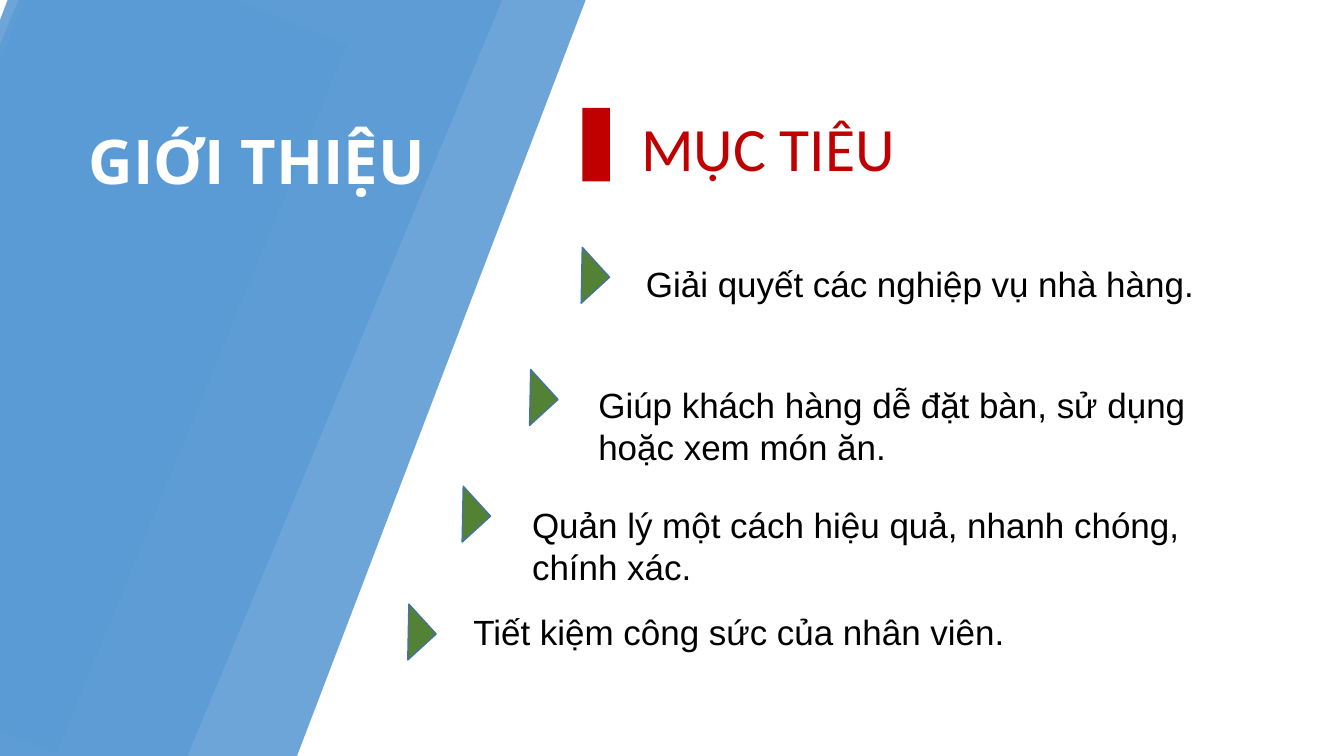
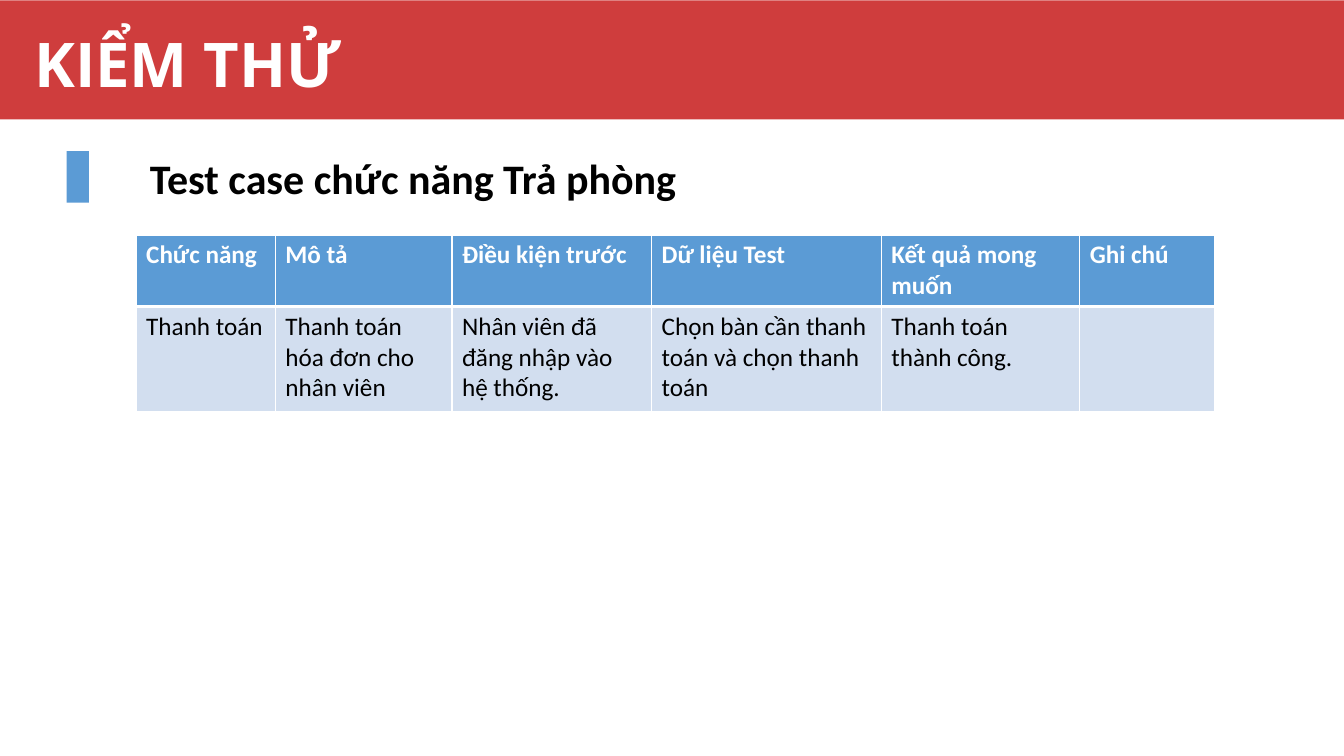
import dataclasses

import lxml.etree
import pptx
import pptx.dml.color
import pptx.enum.shapes
import pptx.enum.text
import pptx.oxml.ns
import pptx.shapes.autoshape
import pptx.slide
import pptx.table
import pptx.util

Cm = pptx.util.Cm
Pt = pptx.util.Pt
RGBColor = pptx.dml.color.RGBColor
Preset = pptx.enum.shapes.MSO_SHAPE
Align = pptx.enum.text.PP_ALIGN
qn = pptx.oxml.ns.qn

WHITE = RGBColor(0xFF, 0xFF, 0xFF)
BLACK = RGBColor(0x00, 0x00, 0x00)
BLUE = RGBColor(0x5B, 0x9B, 0xD5)
DARK_BLUE = RGBColor(0x43, 0x73, 0x9E)
PALE_BLUE = RGBColor(0xD2, 0xDE, 0xEF)
RED = RGBColor(0xC0, 0x00, 0x00)
GREEN = RGBColor(0x54, 0x82, 0x35)

SLIDE_WIDTH, SLIDE_HEIGHT = 33.87, 19.05


@dataclasses.dataclass(frozen=True)
class Box:
    """A frame in centimetres, turned by some degrees."""

    left: float
    top: float
    width: float
    height: float
    turn: float = 0


@dataclasses.dataclass(frozen=True)
class Style:
    """The look of a text."""

    font: str
    size: float
    color: RGBColor
    bold: bool = False


@dataclasses.dataclass(frozen=True)
class Panel:
    """A translucent slanted panel."""

    box: Box
    opacity: int


@dataclasses.dataclass(frozen=True)
class Goal:
    """A goal with the corner of its arrow and the frame of its text."""

    text: str
    arrow_left: float
    arrow_top: float
    box: Box


@dataclasses.dataclass(frozen=True)
class Column:
    """A column of the test case table."""

    header: str
    value: str
    width: float


TITLE = Style("Open Sans", 44, WHITE, True)
GOALS_HEADING = Style("Calibri", 44, RED)
TEST_HEADING = Style("Calibri", 30, BLACK, True)
GOAL_TEXT = Style("Arial", 25, BLACK)
TABLE_HEADER = Style("Calibri", 18, WHITE, True)
TABLE_BODY = Style("Calibri", 18, BLACK)

PANELS = [
    Panel(Box(-2.57, -1.09, 7.95, 19.3, 22.3), 88),
    Panel(Box(-2.54, -3.1, 11.25, 22.91, 22.6), 82),
    Panel(Box(-2.64, -3.33, 13.61, 24, 20.9), 89),
]
GOALS = [
    Goal("Giải quyết các nghiệp vụ nhà hàng.",
         14.15, 6.45, Box(16.03, 6.5, 15.29, 1.32)),
    Goal("Giúp khách hàng dễ đặt bàn, sử dụng hoặc xem món ăn.",
         12.85, 9.53, Box(14.83, 9.55, 17.4, 2.39)),
    Goal("Quản lý một cách hiệu quả, nhanh chóng, chính xác.",
         11.15, 12.47, Box(13.16, 12.57, 17.7, 2.39)),
    Goal("Tiết kiệm công sức của nhân viên.",
         9.78, 15.44, Box(11.68, 15.27, 20.96, 1.32)),
]
COLUMNS = [
    Column("Chức năng", "Thanh toán", 3.51),
    Column("Mô tả", "Thanh toán hóa đơn cho nhân viên", 4.45),
    Column("Điều kiện trước", "Nhân viên đã đăng nhập vào hệ thống.", 5.03),
    Column("Dữ liệu Test", "Chọn bàn cần thanh toán và chọn thanh toán", 5.79),
    Column("Kết quả mong muốn", "Thanh toán thành công.", 5),
    Column("Ghi chú", "", 3.4),
]
HEADER_HEIGHT, BODY_HEIGHT = 1.8, 2.64


def frame(box: Box) -> tuple[int, int, int, int]:
    """Return left, top, width and height as lengths."""
    return Cm(box.left), Cm(box.top), Cm(box.width), Cm(box.height)


def add_figure(slide: pptx.slide.Slide, preset: Preset, box: Box, color: RGBColor,
               opacity: int = 100) -> pptx.shapes.autoshape.Shape:
    """Draw a filled preset shape without outline."""
    figure = slide.shapes.add_shape(preset, *frame(box))
    figure.rotation = box.turn
    figure.shadow.inherit = False
    figure.fill.solid()
    figure.fill.fore_color.rgb = color
    figure.line.fill.background()
    if opacity < 100:
        tint = figure.fill._xPr.find(f"{qn('a:solidFill')}/{qn('a:srgbClr')}")
        lxml.etree.SubElement(tint, qn("a:alpha"), val=str(opacity * 1000))
    return figure


def write(frame_of_text: pptx.text.text.TextFrame, text: str, style: Style) -> None:
    """Put one styled paragraph into a text frame."""
    paragraph = frame_of_text.paragraphs[0]
    paragraph.text = text
    paragraph.font.name = style.font
    paragraph.font.size = Pt(style.size)
    paragraph.font.bold = style.bold
    paragraph.font.color.rgb = style.color


def add_heading(slide: pptx.slide.Slide, text: str, box: Box, style: Style) -> None:
    """Write a centred heading."""
    heading = slide.shapes.add_textbox(*frame(box)).text_frame
    heading.word_wrap = True
    heading.vertical_anchor = pptx.enum.text.MSO_ANCHOR.MIDDLE
    write(heading, text, style)
    heading.paragraphs[0].alignment = Align.CENTER


def add_goal(slide: pptx.slide.Slide, goal: Goal) -> None:
    """Draw the arrow of a goal and write its text."""
    arrow = add_figure(slide, Preset.RIGHT_TRIANGLE,
                       Box(goal.arrow_left, goal.arrow_top, 1.02, 0.97, 227.6), GREEN)
    arrow.line.color.rgb = DARK_BLUE
    arrow.line.width = Pt(1)
    wording = slide.shapes.add_textbox(*frame(goal.box)).text_frame
    wording.word_wrap = True
    wording.auto_size = pptx.enum.text.MSO_AUTO_SIZE.SHAPE_TO_FIT_TEXT
    write(wording, goal.text, GOAL_TEXT)


def add_borders(cell: pptx.table._Cell, top: float, bottom: float) -> None:
    """Give a cell white borders, 1 point wide at the sides."""
    properties = cell._tc.get_or_add_tcPr()
    for side, width in (("L", 1), ("R", 1), ("T", top), ("B", bottom)):
        edge = lxml.etree.SubElement(properties, qn(f"a:ln{side}"), w=str(Pt(width)))
        paint = lxml.etree.SubElement(edge, qn("a:solidFill"))
        lxml.etree.SubElement(paint, qn("a:srgbClr"), val=str(WHITE))


def fill_cell(cell: pptx.table._Cell, text: str, style: Style, color: RGBColor,
              top: float, bottom: float) -> None:
    """Write a cell and set its borders and fill."""
    write(cell.text_frame, text, style)
    add_borders(cell, top, bottom)
    cell.fill.solid()
    cell.fill.fore_color.rgb = color


def add_test_case(slide: pptx.slide.Slide) -> None:
    """Build the test case table."""
    box = Box(3.43, 5.92, sum(column.width for column in COLUMNS),
              HEADER_HEIGHT + BODY_HEIGHT)
    test_case = slide.shapes.add_table(2, len(COLUMNS), *frame(box)).table
    test_case.rows[0].height = Cm(HEADER_HEIGHT)
    test_case.rows[1].height = Cm(BODY_HEIGHT)
    for index, column in enumerate(COLUMNS):
        test_case.columns[index].width = Cm(column.width)
        fill_cell(test_case.cell(0, index), column.header, TABLE_HEADER, BLUE, 1, 3)
        fill_cell(test_case.cell(1, index), column.value, TABLE_BODY, PALE_BLUE, 3, 1)


def build_goals(slide: pptx.slide.Slide) -> None:
    """Build the slide with the goals."""
    for panel in PANELS:
        add_figure(slide, Preset.RECTANGLE, panel.box, BLUE, panel.opacity)
    add_heading(slide, "GIỚI THIỆU", Box(1.27, 3.05, 10.41, 1.96), TITLE)
    add_figure(slide, Preset.RECTANGLE, Box(14.68, 2.72, 0.69, 1.85), RED)
    add_heading(slide, "MỤC TIÊU", Box(15.6, 2.72, 7.52, 1.96), GOALS_HEADING)
    for goal in GOALS:
        add_goal(slide, goal)


def build_testing(slide: pptx.slide.Slide) -> None:
    """Build the slide with the test case."""
    add_figure(slide, Preset.RECTANGLE, Box(0, 0.01, SLIDE_WIDTH, 3), RED, 76)
    add_heading(slide, "KIỂM THỬ", Box(0.1, 0.1, 9.27, 2.95), TITLE)
    add_figure(slide, Preset.RECTANGLE, Box(1.68, 3.81, 0.56, 1.3), BLUE)
    add_heading(slide, "Test case chức năng Trả phòng",
                Box(3.05, 3.51, 14.73, 1.96), TEST_HEADING)
    add_test_case(slide)


def main() -> None:
    """Build and save the presentation."""
    deck = pptx.Presentation()
    deck.slide_width, deck.slide_height = Cm(SLIDE_WIDTH), Cm(SLIDE_HEIGHT)
    for build in (build_goals, build_testing):
        build(deck.slides.add_slide(deck.slide_layouts[6]))
    deck.save("out.pptx")


main()
